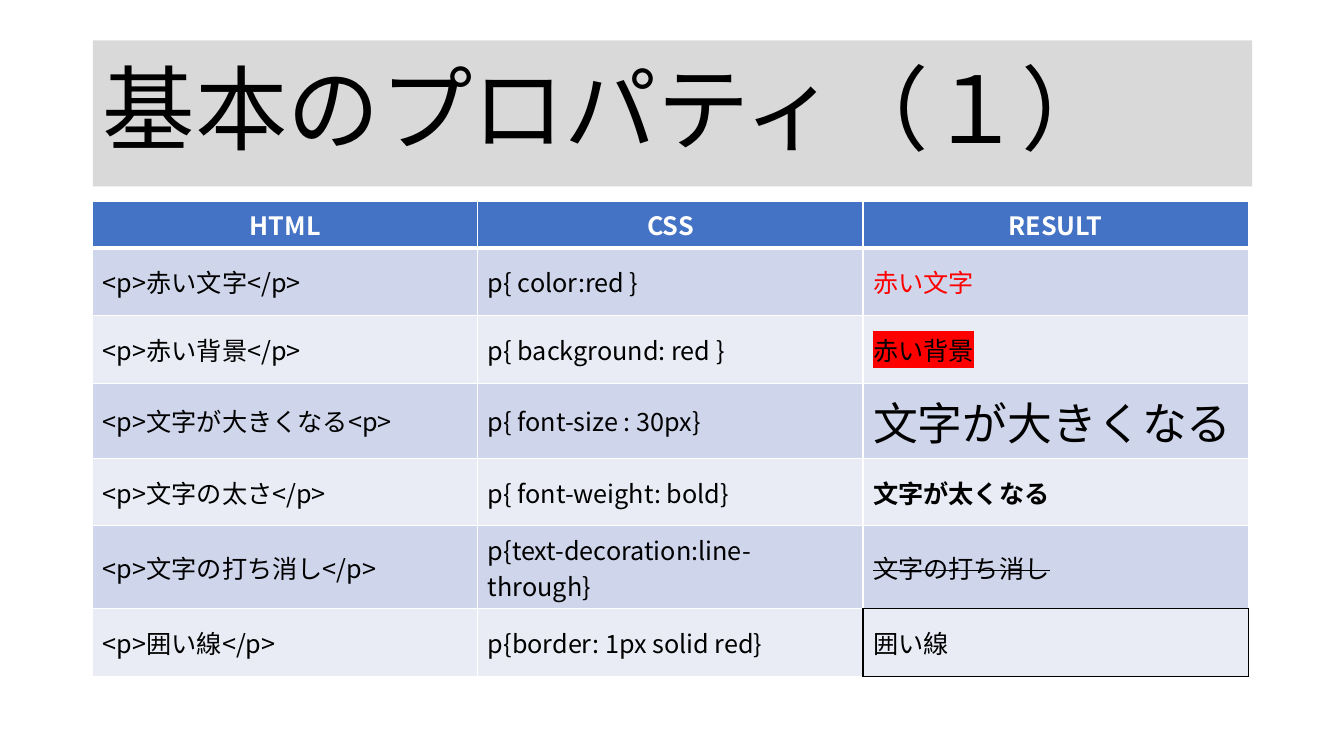
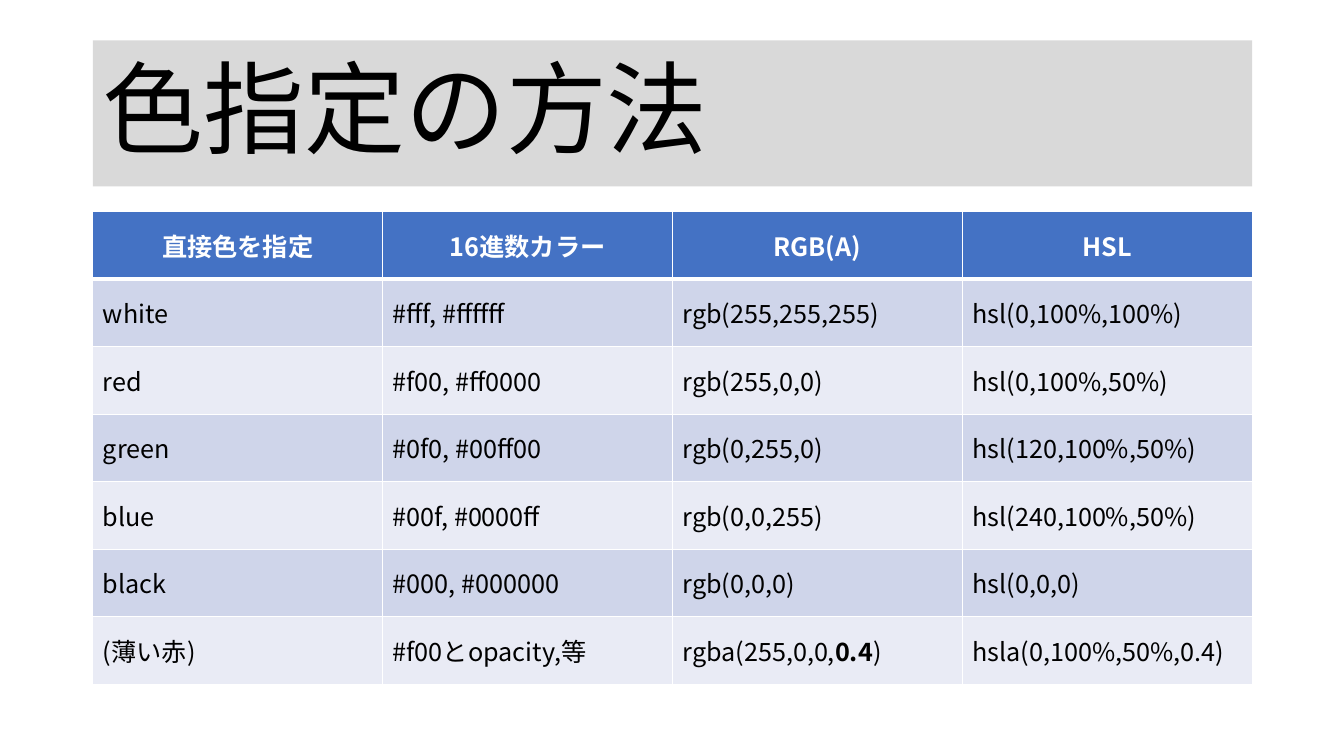
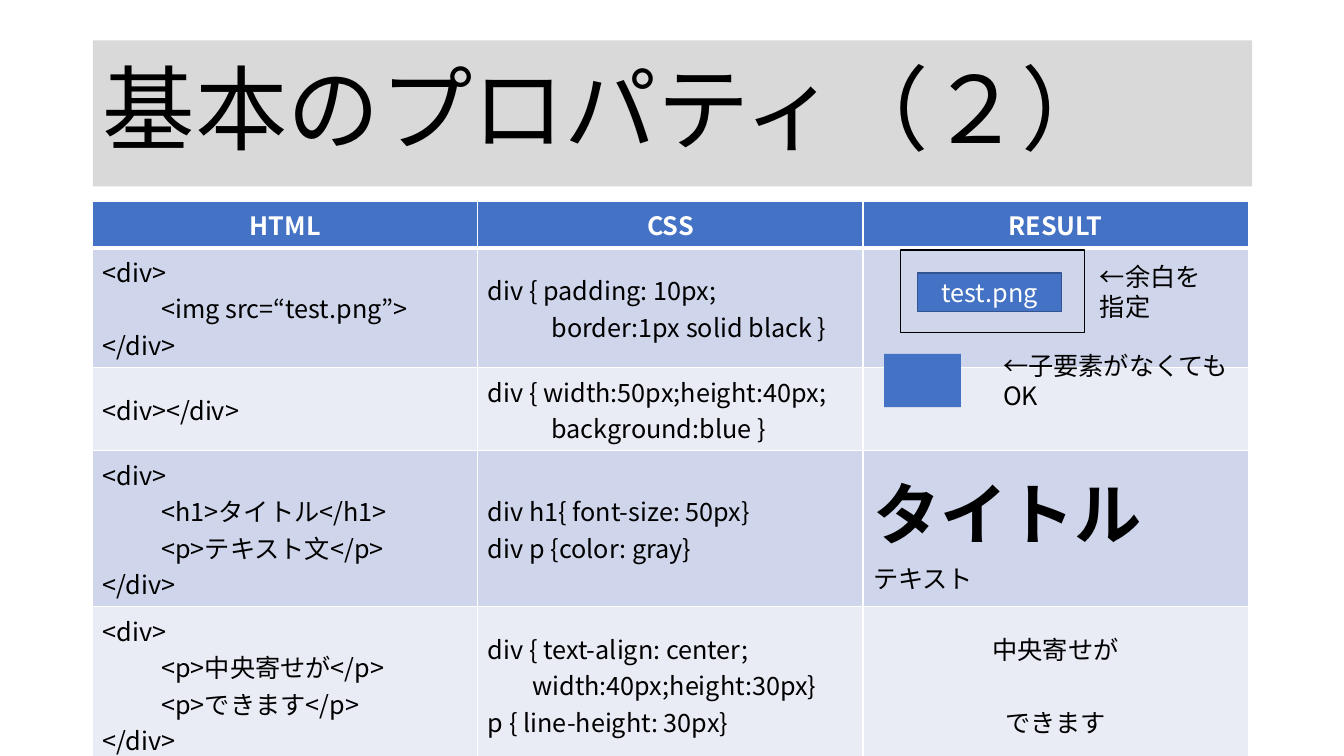
import pptx
import pptx.dml.color
import pptx.enum.shapes
import pptx.enum.text
import pptx.oxml
import pptx.oxml.ns
import pptx.util
from lxml import etree

Inches = pptx.util.Inches
Pt = pptx.util.Pt
ALIGN = pptx.enum.text.PP_ALIGN
MIDDLE = pptx.enum.text.MSO_ANCHOR.MIDDLE

FONT = "Noto Sans CJK JP"
BLACK, WHITE, RED = "000000", "FFFFFF", "FF0000"
BLUE, DARK_BLUE, GRAY = "4472C4", "325491", "D9D9D9"
BANDS = ("CFD5EA", "E9EBF5")
TITLE_BOX = (0.92, 0.4, 11.5, 1.45)
HEADINGS = ["HTML", "CSS", "RESULT"]
BODY_ROW = 0.67
HEADING_ROW = 0.41

BASIC_ROWS = [
    HEADINGS,
    ["<p>赤い文字</p>", "p{ color:red }", "赤い文字"],
    ["<p>赤い背景</p>", "p{ background: red }", "赤い背景"],
    ["<p>文字が大きくなる<p>", "p{ font-size : 30px}", "文字が大きくなる"],
    ["<p>文字の太さ</p>", "p{ font-weight: bold}", "文字が太くなる"],
    ["<p>文字の打ち消し</p>", "p{text-decoration:line-through}", "文字の打ち消し"],
    ["<p>囲い線</p>", "p{border: 1px solid red}", "囲い線"],
]
COLOR_ROWS = [
    ["直接色を指定", "16進数カラー", "RGB(A)", "HSL"],
    ["white", "#fff, #ffffff", "rgb(255,255,255)", "hsl(0,100%,100%)"],
    ["red", "#f00, #ff0000", "rgb(255,0,0)", "hsl(0,100%,50%)"],
    ["green", "#0f0, #00ff00", "rgb(0,255,0)", "hsl(120,100%,50%)"],
    ["blue", "#00f, #0000ff", "rgb(0,0,255)", "hsl(240,100%,50%)"],
    ["black", "#000, #000000", "rgb(0,0,0)", "hsl(0,0,0)"],
    ["(薄い赤)", "#f00とopacity,等", "rgba(255,0,0,", "hsla(0,100%,50%,0.4)"],
]
LAYOUT_ROWS = [
    HEADINGS,
    ["<div>\n<img src=“test.png”>\n</div>",
     "div { padding: 10px;\nborder:1px solid black }", ""],
    ["<div></div>", "div { width:50px;height:40px;\nbackground:blue }", ""],
    ["<div>\n<h1>タイトル</h1>\n<p>テキスト文</p>\n</div>",
     "div h1{ font-size: 50px}\ndiv p {color: gray}", "タイトル\nテキスト"],
    ["<div>\n<p>中央寄せが</p>\n<p>できます</p>\n</div>",
     "div { text-align: center;\nwidth:40px;height:30px}\np { line-height: 30px}",
     "中央寄せが\nできます"],
]


def rgb(value):
    """Turn a hex string into a colour."""
    return pptx.dml.color.RGBColor.from_string(value)


def style_span(span, size=18, color=BLACK, bold=False):
    """Give one run its font, size, colour and weight."""
    span.font.size = Pt(size)
    span.font.bold = bold
    span.font.color.rgb = rgb(color)
    span.font.name = FONT
    latin = span.font._element.find(pptx.oxml.ns.qn("a:latin"))
    east_asian = etree.Element(pptx.oxml.ns.qn("a:ea"), typeface=FONT)
    latin.addnext(east_asian)


def write(frame, text, align=ALIGN.LEFT, **style):
    """Fill a text frame and format every paragraph alike."""
    frame.text = text
    for para in frame.paragraphs:
        para.alignment = align
        for span in para.runs:
            style_span(span, **style)


def indent(cell, lines, amount):
    """Indent the given lines of a cell."""
    for line in lines:
        properties = cell.text_frame.paragraphs[line]._p.get_or_add_pPr()
        properties.set("marL", str(Inches(amount)))
        properties.set("indent", "0")


def set_border(cell, side, color=WHITE, width=1):
    """Draw one side (L, R, T or B) of a cell, replacing any earlier line."""
    properties = cell._tc.get_or_add_tcPr()
    tag = pptx.oxml.ns.qn("a:ln" + side)
    border = properties.find(tag)
    if border is None:
        border = etree.SubElement(properties, tag)
    border.set("w", str(Pt(width)))
    for child in list(border):
        border.remove(child)
    fill = etree.SubElement(border, pptx.oxml.ns.qn("a:solidFill"))
    etree.SubElement(fill, pptx.oxml.ns.qn("a:srgbClr"), val=color)


def add_titled_slide(deck, title, size):
    """Add a slide with the gray title band."""
    page = deck.slides.add_slide(deck.slide_layouts[5])
    band = page.shapes.title
    band.left, band.top, band.width, band.height = map(Inches, TITLE_BOX)
    band.fill.solid()
    band.fill.fore_color.rgb = rgb(GRAY)
    frame = band.text_frame
    write(frame, title, size=size)
    frame.paragraphs[0].line_spacing = 0.9
    frame.vertical_anchor = MIDDLE
    frame.word_wrap = True
    frame.auto_size = pptx.enum.text.MSO_AUTO_SIZE.NONE
    return page


def add_grid(page, rows, left, top, width, heading_height):
    """Add a table with a blue heading row and banded body rows."""
    height = heading_height + BODY_ROW * (len(rows) - 1)
    table = page.shapes.add_table(
        len(rows), len(rows[0]), *map(Inches, (left, top, width, height))).table
    table.horz_banding = False
    for index, texts in enumerate(rows):
        heading = index == 0
        table.rows[index].height = Inches(heading_height if heading else BODY_ROW)
        for column, text in enumerate(texts):
            cell = table.cell(index, column)
            cell.vertical_anchor = MIDDLE
            if heading:
                write(cell.text_frame, text, ALIGN.CENTER, color=WHITE, bold=True)
            else:
                write(cell.text_frame, text)
            for side in "LRTB":
                thick = (index, side) in ((0, "B"), (1, "T"))
                set_border(cell, side, width=3 if thick else 1)
            cell.fill.solid()
            cell.fill.fore_color.rgb = rgb(BLUE if heading else BANDS[(index - 1) % 2])
    return table


def add_box(page, left, top, width, height, fill=None, line=None, text=""):
    """Add a rectangle with an optional fill, outline and label."""
    box = page.shapes.add_shape(
        pptx.enum.shapes.MSO_SHAPE.RECTANGLE, *map(Inches, (left, top, width, height)))
    box.shadow.inherit = False
    if fill:
        box.fill.solid()
        box.fill.fore_color.rgb = rgb(fill)
    else:
        box.fill.background()
    if line:
        box.line.color.rgb = rgb(line)
        box.line.width = Pt(1)
    else:
        box.line.fill.background()
    if text:
        write(box.text_frame, text, ALIGN.CENTER, color=WHITE)
        box.text_frame.vertical_anchor = MIDDLE


def add_remark(page, left, top, width, height, text):
    """Add a remark beside a result."""
    box = page.shapes.add_textbox(*map(Inches, (left, top, width, height)))
    box.text_frame.word_wrap = False
    write(box.text_frame, text)
    for para in box.text_frame.paragraphs:
        para.line_spacing = Pt(21.5)


def add_basic_slide(deck):
    """Build the slide on text properties."""
    page = add_titled_slide(deck, "基本のプロパティ（１）", 66)
    table = add_grid(page, BASIC_ROWS, 0.92, 2, 11.46, HEADING_ROW)
    red, marked, large, bold, struck = [
        table.cell(row, 2).text_frame.paragraphs[0].runs[0] for row in range(1, 6)]
    red.font.color.rgb = rgb(RED)
    large.font.size = Pt(32)
    bold.font.bold = True
    struck.font._element.set("strike", "sngStrike")
    highlight = etree.Element(pptx.oxml.ns.qn("a:highlight"))
    etree.SubElement(highlight, pptx.oxml.ns.qn("a:srgbClr"), val=RED)
    marked.font._element.find(pptx.oxml.ns.qn("a:latin")).addprevious(highlight)
    for side in "LRTB":
        set_border(table.cell(6, 2), side, BLACK)
    set_border(table.cell(5, 2), "B", BLACK)
    set_border(table.cell(6, 1), "R", BLACK)


def add_color_slide(deck):
    """Build the slide on ways to name a colour."""
    page = add_titled_slide(deck, "色指定の方法", 72)
    table = add_grid(page, COLOR_ROWS, 0.92, 2.1, 11.5, BODY_ROW)
    para = table.cell(6, 2).text_frame.paragraphs[0]
    for text, bold in (("0.4", True), (")", False)):
        span = para.add_run()
        span.text = text
        style_span(span, bold=bold)


def add_layout_slide(deck):
    """Build the slide on box properties."""
    page = add_titled_slide(deck, "基本のプロパティ（２）", 66)
    table = add_grid(page, LAYOUT_ROWS, 0.92, 2, 11.46, HEADING_ROW)
    for row, column, lines, amount in (
            (1, 0, [1], 0.58), (3, 0, [1, 2], 0.58), (4, 0, [1, 2], 0.58),
            (1, 1, [1], 0.63), (2, 1, [1], 0.63), (4, 1, [1], 0.44)):
        indent(table.cell(row, column), lines, amount)
    heading = table.cell(3, 2).text_frame.paragraphs[0].runs[0]
    heading.font.size = Pt(48)
    heading.font.bold = True
    centered = table.cell(4, 2).text_frame.paragraphs
    for para in centered:
        para.alignment = ALIGN.CENTER
    centered[1].space_before = Pt(26)
    add_box(page, 9.1, 2.71, 1.43, 0.38, BLUE, DARK_BLUE, "test.png")
    add_box(page, 8.93, 2.48, 1.83, 0.82, line=BLACK)
    add_remark(page, 10.81, 2.54, 1.21, 0.71, "←余白を\n指定")
    add_box(page, 8.77, 3.51, 0.76, 0.53, BLUE)
    add_remark(page, 9.85, 3.43, 2.47, 0.71, "←子要素がなくても\nOK")


def main():
    """Build and save the deck."""
    deck = pptx.Presentation()
    deck.slide_width, deck.slide_height = Inches(13.33), Inches(7.5)
    add_basic_slide(deck)
    add_color_slide(deck)
    add_layout_slide(deck)
    deck.save("out.pptx")


if __name__ == "__main__":
    main()
